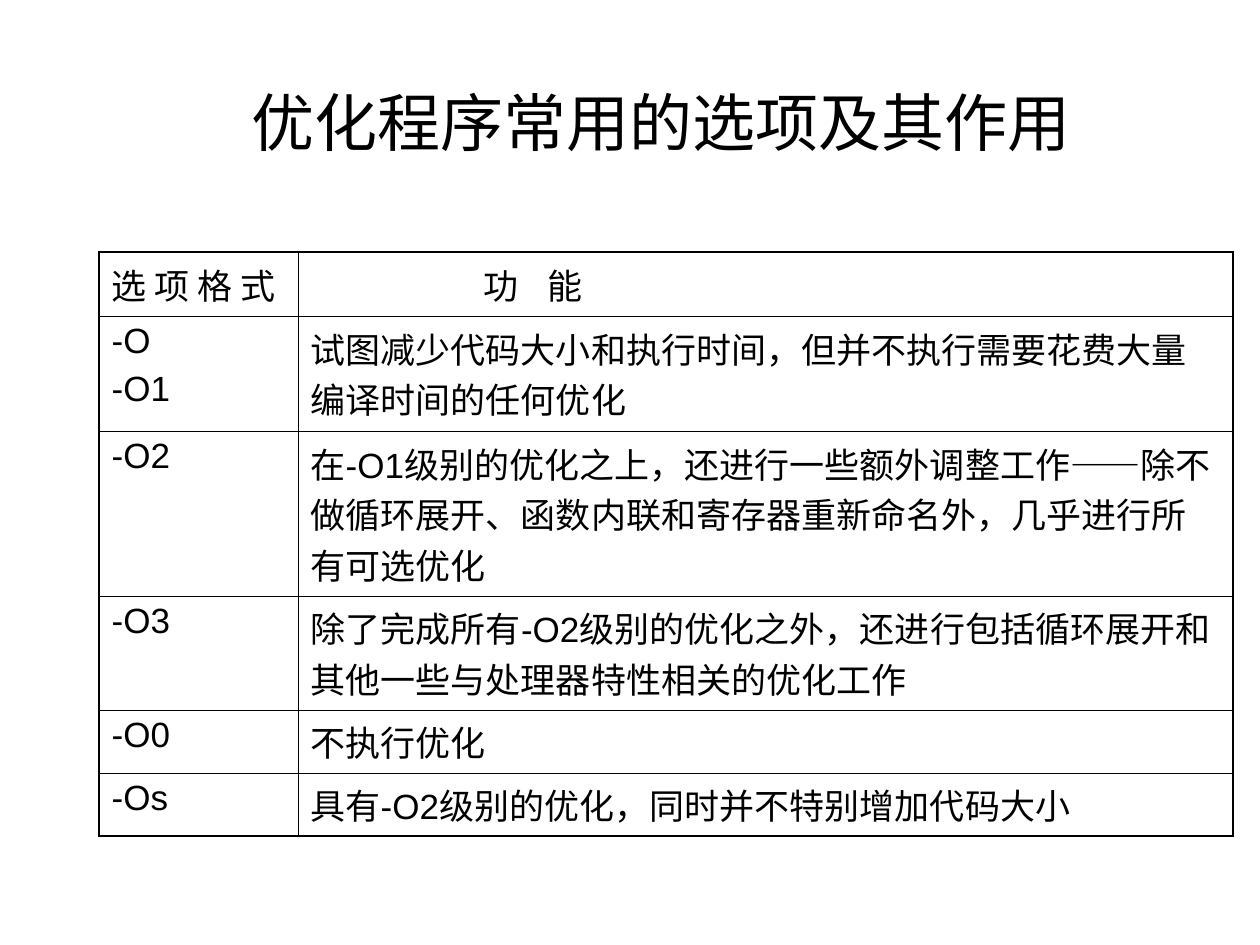
from lxml.etree import SubElement
from pptx import Presentation
from pptx.dml.color import RGBColor
from pptx.enum.text import MSO_ANCHOR, PP_ALIGN
from pptx.oxml.ns import qn
from pptx.util import Pt

SCALE = 914400 / 126
BLACK = RGBColor(0, 0, 0)
WHITE = RGBColor(255, 255, 255)
LATIN = "Arial"
HAN = "Noto Sans CJK SC"
THICK, THIN = Pt(1.08), Pt(0.45)

COLS = [199, 935]
HEIGHTS = [64, 115, 165, 114, 63, 63]
ROWS = [
    (["选 项 格 式"], "功 能"),
    (["-O", "-O1"], "试图减少代码大小和执行时间，但并不执行需要花费大量编译时间的任何优化"),
    (["-O2"], "在-O1级别的优化之上，还进行一些额外调整工作——除不做循环展开、"
              "函数内联和寄存器重新命名外，几乎进行所有可选优化"),
    (["-O3"], "除了完成所有-O2级别的优化之外，还进行包括循环展开和其他一些与处理器特性相关的优化工作"),
    (["-O0"], "不执行优化"),
    (["-Os"], "具有-O2级别的优化，同时并不特别增加代码大小"),
]


def px(n):
    return round(n * SCALE)


def add_run(para, text, size, face):
    run = para.add_run()
    run.text = text
    run.font.size = Pt(size)
    run.font.name = face
    run.font.color.rgb = BLACK
    # Typeface for Chinese characters
    SubElement(run._r.get_or_add_rPr(), qn("a:ea"), typeface=HAN)
    return run


def add_title(slide, text):
    box = slide.shapes.add_textbox(px(94), px(42), px(1134), px(158))
    frame = box.text_frame
    frame.word_wrap = True
    frame.vertical_anchor = MSO_ANCHOR.MIDDLE
    para = frame.paragraphs[0]
    para.alignment = PP_ALIGN.CENTER
    add_run(para, text, 36, HAN)


def set_edges(cell, widths):
    props = cell._tc.get_or_add_tcPr()
    for side, width in zip("LRTB", widths):
        line = SubElement(props, qn(f"a:ln{side}"), w=str(width))
        fill = SubElement(line, qn("a:solidFill"))
        SubElement(fill, qn("a:srgbClr"), val=str(BLACK))


def fill_cell(cell, lines):
    frame = cell.text_frame
    for i, text in enumerate(lines):
        para = frame.add_paragraph() if i else frame.paragraphs[0]
        para.space_before = Pt(5)
        add_run(para, text, 20, LATIN)
    cell.fill.solid()
    cell.fill.fore_color.rgb = WHITE


def add_grid(slide):
    frame = slide.shapes.add_table(len(ROWS), len(COLS), px(99), px(252),
                                   px(sum(COLS)), px(sum(HEIGHTS)))
    table = frame.table
    table.first_row = False
    table.horz_banding = False
    for col, width in zip(table.columns, COLS):
        col.width = px(width)
    for row, height in zip(table.rows, HEIGHTS):
        row.height = px(height)

    # Thick outer frame, thin inner rules
    last = len(ROWS) - 1
    for r, (names, use) in enumerate(ROWS):
        top = THIN if r else THICK
        base = THICK if r == last else THIN
        for c, lines in enumerate((names, [use])):
            cell = table.cell(r, c)
            sides = (THIN, THICK) if c else (THICK, THIN)
            set_edges(cell, (*sides, top, base))
            fill_cell(cell, lines)

    # Indented, widely spaced heading of the second column
    head = table.cell(0, 1)
    head.margin_left = px(186)
    run = head.text_frame.paragraphs[0].runs[0]
    run._r.get_or_add_rPr().set("spc", "600")


def main():
    deck = Presentation()
    deck.slide_width, deck.slide_height = px(1260), px(945)
    slide = deck.slides.add_slide(deck.slide_layouts[6])
    add_title(slide, "优化程序常用的选项及其作用")
    add_grid(slide)
    deck.save("out.pptx")


if __name__ == "__main__":
    main()
